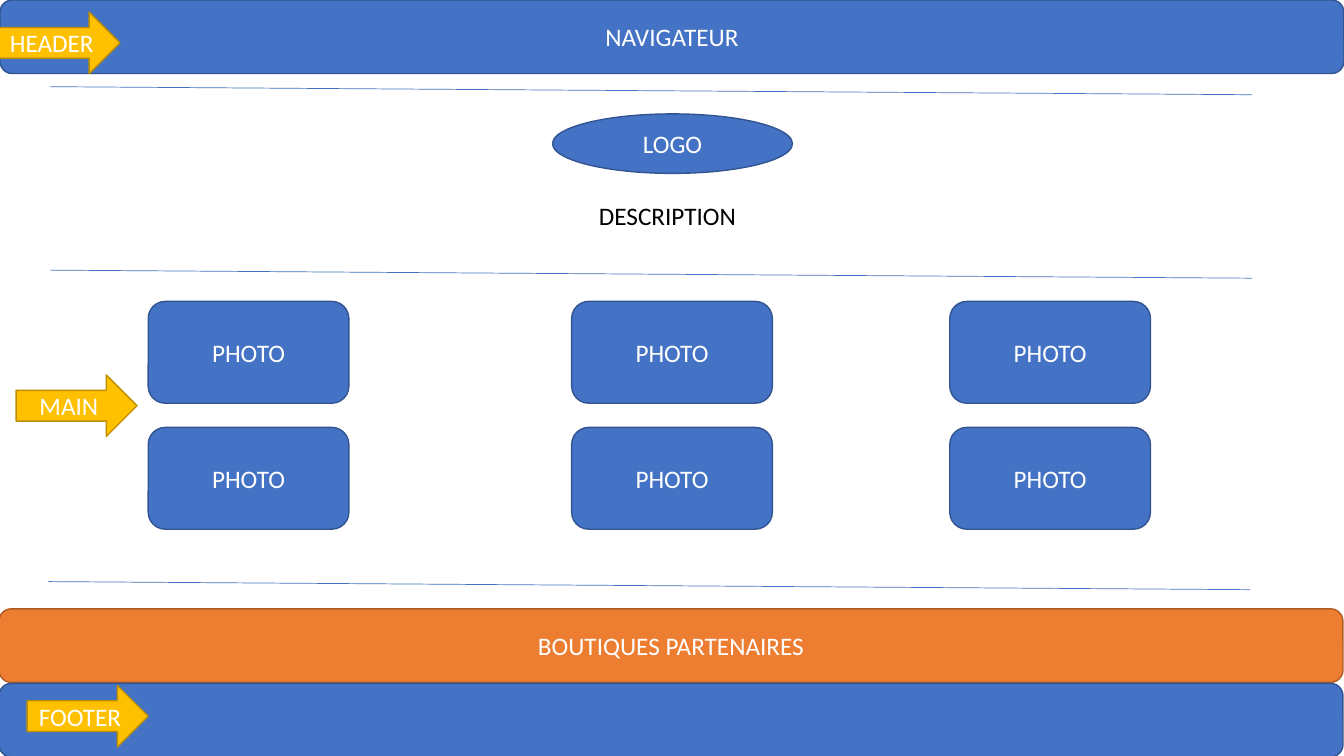
from dataclasses import dataclass

from lxml import etree
from pptx import Presentation
from pptx.dml.color import RGBColor
from pptx.enum.shapes import MSO_CONNECTOR, MSO_SHAPE
from pptx.enum.text import MSO_ANCHOR, PP_ALIGN
from pptx.oxml.ns import qn
from pptx.slide import Slide
from pptx.text.text import TextFrame
from pptx.util import Inches, Pt

ROUNDED = MSO_SHAPE.ROUNDED_RECTANGLE
OVAL = MSO_SHAPE.OVAL
ARROW = MSO_SHAPE.RIGHT_ARROW
STRAIGHT = MSO_CONNECTOR.STRAIGHT
CENTER = PP_ALIGN.CENTER
MIDDLE = MSO_ANCHOR.MIDDLE

WHITE = RGBColor(0xFF, 0xFF, 0xFF)
BLACK = RGBColor(0x00, 0x00, 0x00)
BLUE = RGBColor(0x44, 0x72, 0xC4)
DARK_BLUE = RGBColor(0x32, 0x54, 0x91)
ORANGE = RGBColor(0xED, 0x7D, 0x31)
DARK_ORANGE = RGBColor(0xAF, 0x5C, 0x24)
GOLD = RGBColor(0xFF, 0xC0, 0x00)
DARK_GOLD = RGBColor(0xBD, 0x8E, 0x00)

FONT = "Calibri"
SLIDE_WIDTH, SLIDE_HEIGHT = 13.33, 7.5
BAR_HEIGHT = 0.73
PHOTO_COLUMNS = (1.47, 5.67, 9.42)
PHOTO_ROWS = (2.99, 4.24)


@dataclass(frozen=True)
class Block:
    """A labelled wireframe shape, measured in inches."""
    label: str
    left: float
    top: float
    width: float
    height: float
    kind: MSO_SHAPE = ROUNDED
    fill: RGBColor = BLUE
    outline: RGBColor = DARK_BLUE


@dataclass(frozen=True)
class Divider:
    """A slightly sloping section line, measured in inches."""
    left: float
    top: float
    width: float = 11.92
    drop: float = 0.08


def bar(label: str, left: float, top: float, fill: RGBColor = BLUE,
        outline: RGBColor = DARK_BLUE) -> Block:
    return Block(label, left, top, SLIDE_WIDTH, BAR_HEIGHT, ROUNDED, fill, outline)


def marker(label: str, left: float, top: float) -> Block:
    return Block(label, left, top, 1.2, 0.61, ARROW, GOLD, DARK_GOLD)


def write_label(frame: TextFrame, label: str, color: RGBColor) -> None:
    frame.word_wrap = True
    para = frame.paragraphs[0]
    para.alignment = CENTER
    span = para.add_run()
    span.text = label
    span.font.name = FONT
    span.font.size = Pt(18)
    span.font.color.rgb = color


def draw_block(page: Slide, block: Block) -> None:
    shape = page.shapes.add_shape(
        block.kind, Inches(block.left), Inches(block.top),
        Inches(block.width), Inches(block.height))
    shape.shadow.inherit = False
    shape.fill.solid()
    shape.fill.fore_color.rgb = block.fill
    shape.line.color.rgb = block.outline
    shape.line.width = Pt(1)
    if block.label:
        shape.text_frame.vertical_anchor = MIDDLE
        write_label(shape.text_frame, block.label, WHITE)


def draw_divider(page: Slide, divider: Divider) -> None:
    line = page.shapes.add_connector(
        STRAIGHT, Inches(divider.left), Inches(divider.top),
        Inches(divider.left + divider.width), Inches(divider.top + divider.drop))
    line.line.color.rgb = BLUE
    line.line.width = Pt(0.5)
    properties = line._element.find(qn("p:spPr"))
    etree.SubElement(properties, qn("a:effectLst"))


BLOCKS = (
    # Header
    bar("NAVIGATEUR", 0, 0),
    Block("LOGO", 5.48, 1.13, 2.38, 0.59, OVAL),
    # Photo grid
    *(Block("PHOTO", left, top, 1.99, 1.01)
      for top in PHOTO_ROWS for left in PHOTO_COLUMNS),
    # Footer
    bar("BOUTIQUES PARTENAIRES", -0.01, 6.04, ORANGE, DARK_ORANGE),
    bar("", -0.01, 6.78),
    # Section markers
    marker("HEADER", -0.01, 0.12),
    marker("MAIN", 0.16, 3.72),
    marker("FOOTER", 0.27, 6.8),
)
DIVIDERS = (Divider(0.5, 0.86), Divider(0.5, 2.68), Divider(0.48, 5.77))

# Blank page
deck = Presentation()
deck.slide_width = Inches(SLIDE_WIDTH)
deck.slide_height = Inches(SLIDE_HEIGHT)
page = deck.slides.add_slide(deck.slide_layouts[6])

# Wireframe
for block in BLOCKS:
    draw_block(page, block)

# Description
description_box = page.shapes.add_textbox(
    Inches(5.09), Inches(1.94), Inches(3.06), Inches(0.4))
write_label(description_box.text_frame, "DESCRIPTION", BLACK)

# Section lines
for divider in DIVIDERS:
    draw_divider(page, divider)

deck.save("out.pptx")
